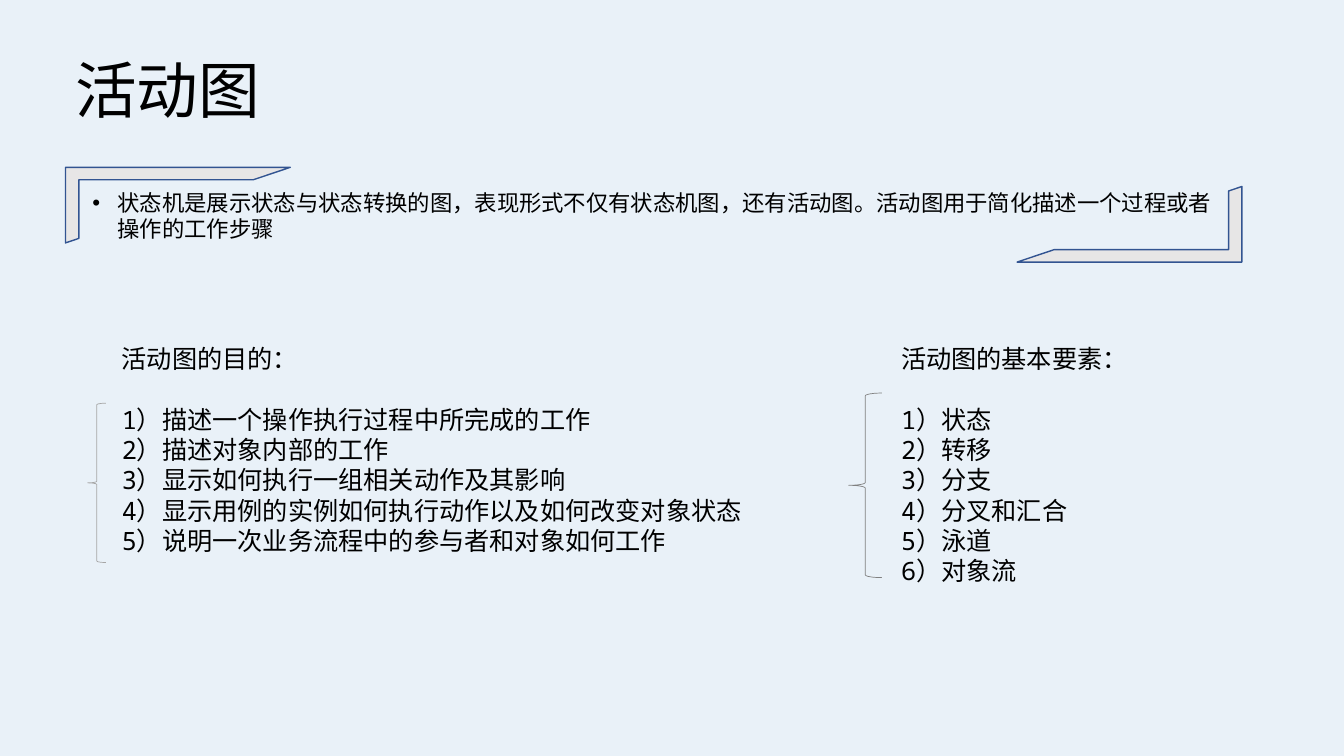
from pptx import Presentation
from pptx.dml.color import RGBColor
from pptx.enum.shapes import MSO_SHAPE
from pptx.enum.text import MSO_ANCHOR
from pptx.oxml.ns import qn
from pptx.util import Pt
from lxml import etree

HALF_FRAME = MSO_SHAPE.HALF_FRAME
LEFT_BRACE = MSO_SHAPE.LEFT_BRACE
MIDDLE, TOP = MSO_ANCHOR.MIDDLE, MSO_ANCHOR.TOP
SANS, MONO = "Noto Sans CJK SC", "Noto Sans Mono"

INTRO = ("状态机是展示状态与状态转换的图，表现形式不仅有状态机图，还有活动图。"
         "活动图用于简化描述一个过程或者操作的工作步骤")
PURPOSES = ["描述一个操作执行过程中所完成的工作", "描述对象内部的工作",
            "显示如何执行一组相关动作及其影响",
            "显示用例的实例如何执行动作以及如何改变对象状态",
            "说明一次业务流程中的参与者和对象如何工作"]
ELEMENTS = ["状态", "转移", "分支", "分叉和汇合", "泳道", "对象流"]


def color(value):
    return RGBColor.from_string(value)


def add_text(s, box, lines, size, font, spacing, anchor=TOP):
    tf = s.shapes.add_textbox(*map(Pt, box)).text_frame
    tf.word_wrap = True
    tf.vertical_anchor = anchor
    for i, line in enumerate(lines):
        p = tf.paragraphs[0] if i == 0 else tf.add_paragraph()
        p.line_spacing = Pt(spacing)
        r = p.add_run()
        r.text = line
        r.font.size = Pt(size)
        r.font.name = font
        r.font.color.rgb = color("000000")
        # East Asian glyphs use the sans face
        ea = etree.SubElement(r.font._element, qn("a:ea"))
        ea.set("typeface", SANS)
    return tf


def add_bullet(p, indent):
    pPr = p._p.get_or_add_pPr()
    pPr.set("marL", str(Pt(indent)))
    pPr.set("indent", str(-Pt(indent)))
    font = etree.SubElement(pPr, qn("a:buFont"))
    font.set("typeface", "Arial")
    etree.SubElement(pPr, qn("a:buChar")).set("char", "•")


def add_numbered_list(s, box, heading, items):
    numbered = [f"{n}）{item}" for n, item in enumerate(items, 1)]
    tf = add_text(s, box, [heading] + numbered, 18, MONO, 21.6)
    tf.paragraphs[1].space_before = Pt(21.6)


def add_outline(s, kind, box, line, width, fill=None):
    sp = s.shapes.add_shape(kind, *map(Pt, box))
    sp.shadow.inherit = False
    sp.line.color.rgb = color(line)
    sp.line.width = Pt(width)
    if fill:
        sp.fill.solid()
        sp.fill.fore_color.rgb = color(fill)
    else:
        sp.fill.background()
    return sp


def add_corner(s, left, top, rotation):
    sp = add_outline(s, HALF_FRAME, (left, top, 160.6, 54), "325491", 1, "E7E6E6")
    sp.adjustments[0], sp.adjustments[1] = 0.165, 0.177
    sp.rotation = rotation


def main():
    prs = Presentation()
    prs.slide_width, prs.slide_height = Pt(960), Pt(540)
    s = prs.slides.add_slide(prs.slide_layouts[6])
    s.background.fill.solid()
    s.background.fill.fore_color.rgb = color("E9F1F8")

    # Title and introduction
    add_text(s, (46.8, 27.4, 160.6, 72), ["活动图"], 44, SANS, 53, MIDDLE)
    intro = add_text(s, (59, 133.2, 820.8, 85), [INTRO], 16, SANS, 17.9)
    add_bullet(intro.paragraphs[0], 18)

    # Two numbered lists
    add_numbered_list(s, (79.9, 241.9, 466.6, 159.8), "活动图的目的：", PURPOSES)
    add_numbered_list(s, (636.5, 241.9, 223.9, 181.4), "活动图的基本要素：", ELEMENTS)

    # Braces beside the lists
    add_outline(s, LEFT_BRACE, (606.2, 280.8, 23.8, 131.8), "808080", 0.5)
    add_outline(s, LEFT_BRACE, (62.6, 288, 13, 113.8), "A6A6A6", 0.5)

    # Corner frames around the introduction
    add_corner(s, 46.8, 119.5, 0)
    add_corner(s, 726.5, 133.2, 180)

    prs.save("out.pptx")


if __name__ == "__main__":
    main()
